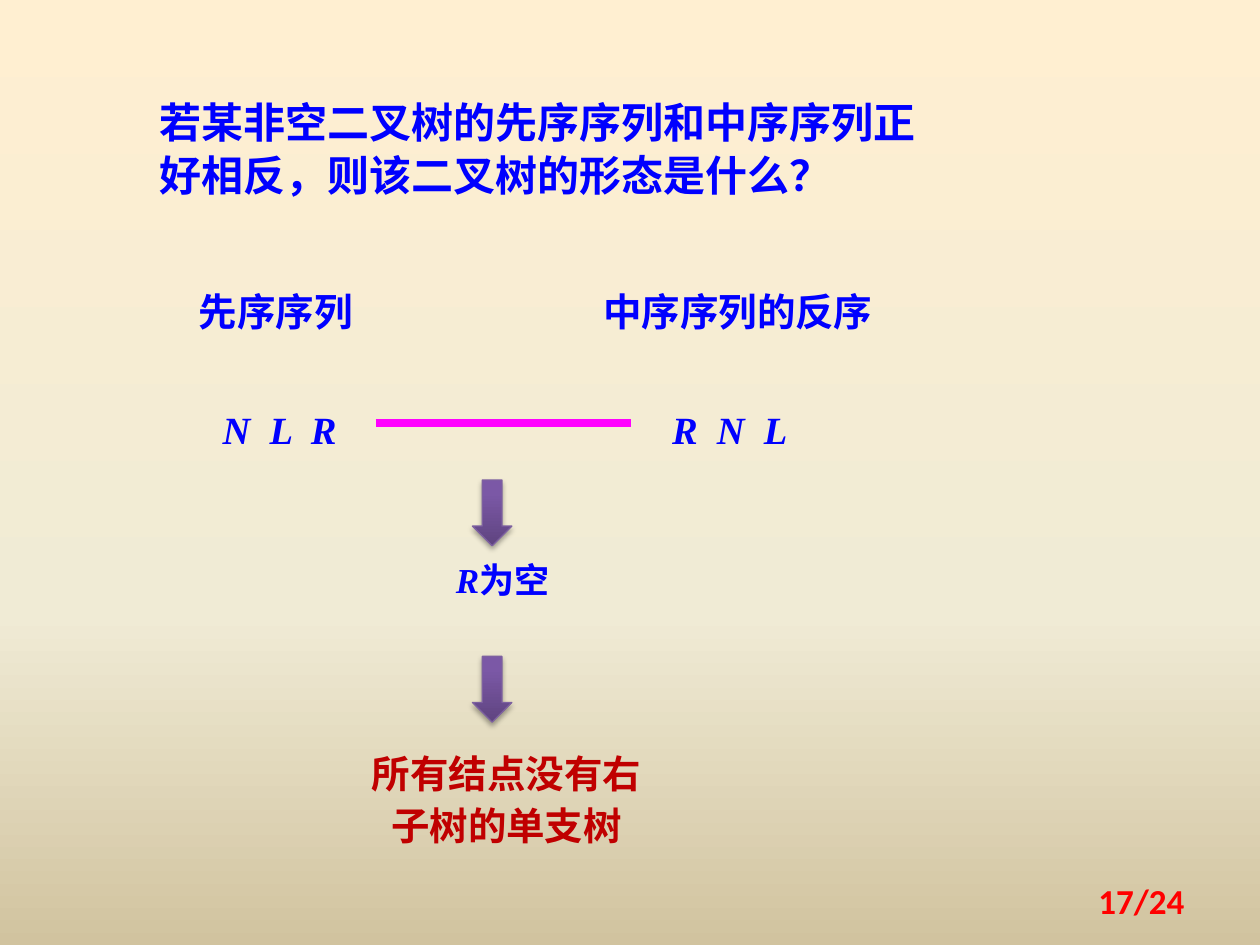
from lxml import etree
from pptx import Presentation
from pptx.dml.color import RGBColor
from pptx.enum.shapes import MSO_CONNECTOR, MSO_SHAPE
from pptx.enum.text import MSO_ANCHOR, MSO_AUTO_SIZE, PP_ALIGN
from pptx.oxml import parse_xml
from pptx.oxml.ns import qn
from pptx.util import Pt

LEFT, MID, RIGHT = PP_ALIGN.LEFT, PP_ALIGN.CENTER, PP_ALIGN.RIGHT
TOP, CENTRE = MSO_ANCHOR.TOP, MSO_ANCHOR.MIDDLE
NONE = MSO_AUTO_SIZE.NONE
ARROW, LINE = MSO_SHAPE.DOWN_ARROW, MSO_CONNECTOR.STRAIGHT
NS = "http://schemas.openxmlformats.org/drawingml/2006/main"
SERIF, SANS, PAGE = "Times New Roman", "Noto Sans CJK SC", "Calibri"
HUES = {"blue": "0000FF", "pink": "FF00FF", "dark": "C00000",
        "red": "FF0000", "edge": "7D60A0"}
SAND = [(0, "FFEFD1"), (65, "F0EBD5"), (100, "D1C39F")]
PLUM = [(0, "5F4480"), (80, "7B58A6"), (100, "7C57A8")]


def shade(stops, angle):
    """Return a linear gradient fill element."""
    marks = "".join(f'<a:gs pos="{pos * 1000}"><a:srgbClr val="{hue}"/></a:gs>'
                    for pos, hue in stops)
    return parse_xml(f'<a:gradFill xmlns:a="{NS}" rotWithShape="1"><a:gsLst>{marks}'
                     f'</a:gsLst><a:lin ang="{angle * 60000}" scaled="0"/></a:gradFill>')


def write(box, runs, size, hue, font=SERIF, align=LEFT, lead=Pt(30), gap=0):
    """Fill a text shape with bold (text, italic) runs."""
    frame = box.text_frame
    frame.word_wrap = True
    frame.auto_size = NONE
    frame.vertical_anchor = TOP
    para = frame.paragraphs[0]
    para.alignment = align
    if lead:
        para.line_spacing = lead
    for text, slant in runs:
        run = para.add_run()
        run.text = text
        run.font.size = Pt(size)
        run.font.name = font
        run.font.bold = True
        run.font.italic = slant
        run.font.color.rgb = RGBColor.from_string(HUES[hue])
        props = run.font._element
        props.find(qn("a:latin")).addnext(
            parse_xml(f'<a:ea xmlns:a="{NS}" typeface="{SANS}"/>'))
        if gap:
            props.set("spc", str(int(gap * 100)))


deck = Presentation()
deck.slide_width, deck.slide_height = Pt(720), Pt(540)
slide = deck.slides.add_slide(deck.slide_layouts[5])
shapes = slide.shapes

back = slide.background.fill
back.gradient()
old = slide._element.find(".//" + qn("a:gradFill"))
old.getparent().replace(old, shade(SAND, 90))

# Question
title = shapes.title
title.left, title.top, title.width, title.height = Pt(84.2), Pt(50.4), Pt(461.5), Pt(67.7)
write(title, [("若某非空二叉树的先序序列和中序序列正好相反，则该二叉树的形态是什么？", False)],
      24, "blue")

# Sequences, deduction and answer
notes = [
    (106.6, 157.7, 135.4, 35.3, [("先序序列", False)], 22, "blue", {}),
    (120.2, 224.6, 101.5, 35.3, [("N L R", True)], 22, "blue", {"gap": 2.75}),
    (337.7, 157.7, 202.3, 35.3, [("中序序列的反序", False)], 22, "blue", {}),
    (377, 224.6, 101.5, 35.3, [("R N L", True)], 22, "blue", {"gap": 2.75}),
    (253.4, 309.6, 73.4, 37.4, [("R", True), ("为空", False)], 20, "blue", {}),
    (202.3, 421.2, 174.2, 67.7, [("所有结点没有右子树的单支树", False)], 22, "dark",
     {"font": SANS, "align": MID}),
]
for x, y, wide, high, runs, size, hue, opts in notes:
    box = shapes.add_textbox(Pt(x), Pt(y), Pt(wide), Pt(high))
    write(box, runs, size, hue, **opts)

# Link between the two sequences
link = shapes.add_connector(LINE, Pt(214.6), Pt(241.9), Pt(360.7), Pt(241.9))
link.line.color.rgb = RGBColor.from_string(HUES["pink"])
link.line.width = Pt(4.5)
etree.SubElement(link._element.spPr, qn("a:effectLst"))

# Steps
for y in (274.3, 375.1):
    step = shapes.add_shape(ARROW, Pt(270), Pt(y), Pt(22.5), Pt(37.6))
    step.line.color.rgb = RGBColor.from_string(HUES["edge"])
    step.line.width = Pt(0.75)
    step.shadow.inherit = False
    props = step._element.spPr
    props.find(qn("a:prstGeom")).addnext(shade(PLUM, 270))
    props.find(qn("a:effectLst")).append(parse_xml(
        f'<a:outerShdw xmlns:a="{NS}" blurRad="{Pt(3.1)}" dist="{Pt(1.8)}" '
        'dir="5400000" rotWithShape="0"><a:srgbClr val="000000">'
        '<a:alpha val="35000"/></a:srgbClr></a:outerShdw>'))

# Page number
page = shapes.add_textbox(Pt(516.2), Pt(500.4), Pt(167.8), Pt(28.8))
write(page, [("17/24", False)], 20, "red", font=PAGE, align=RIGHT, lead=None)
page.text_frame.vertical_anchor = CENTRE

deck.save("out.pptx")
